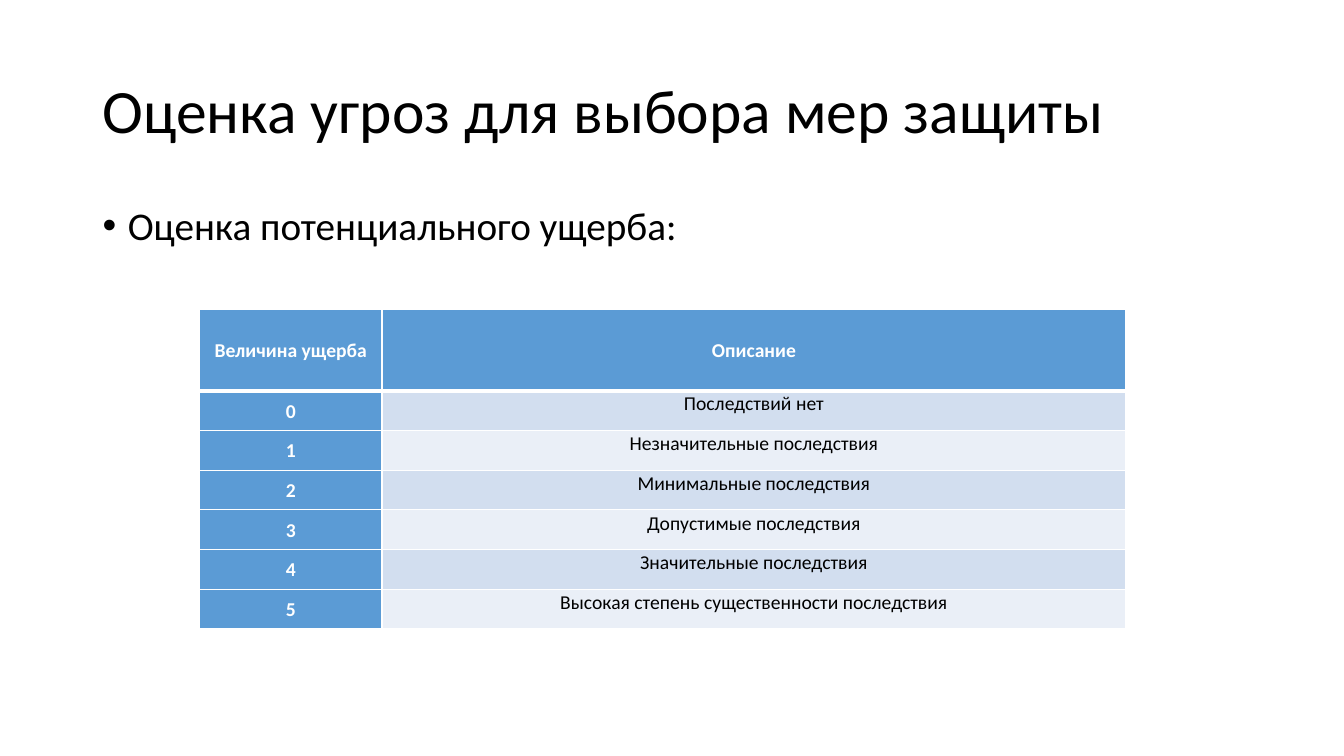
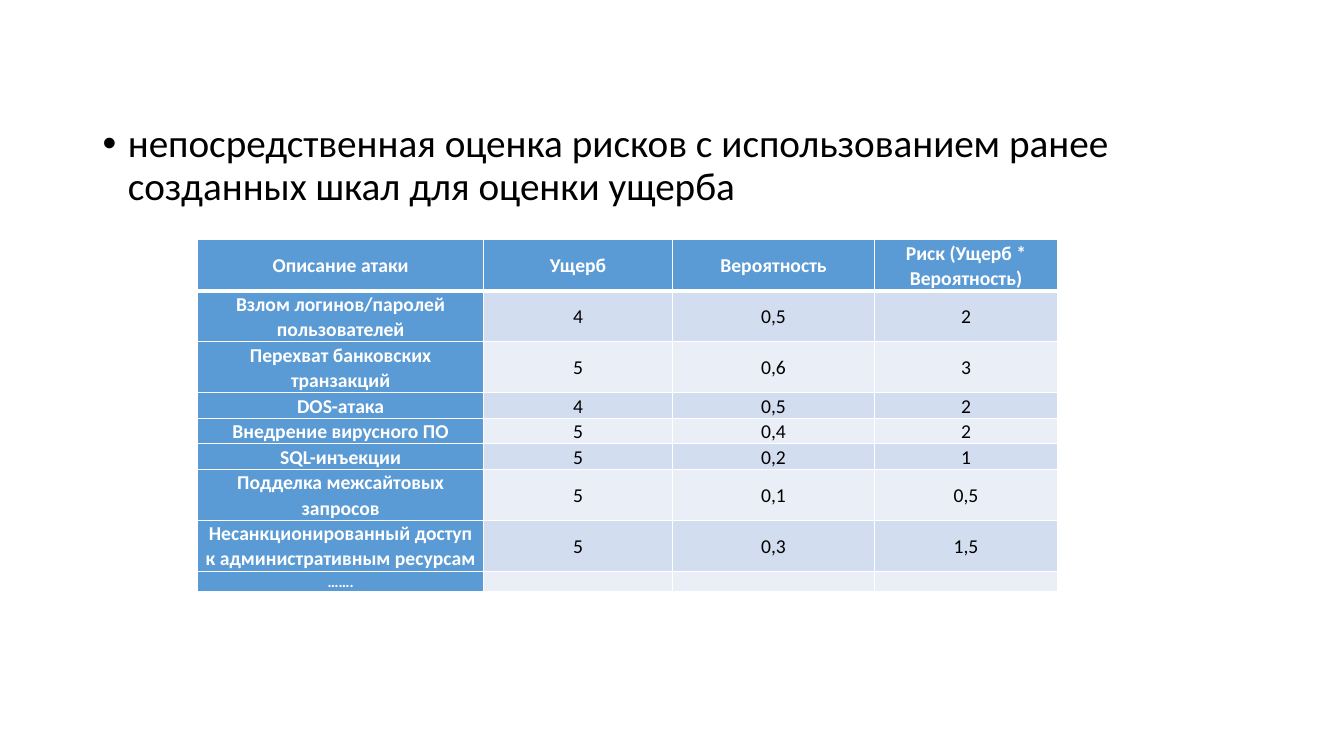
from lxml import etree
from pptx import Presentation
from pptx import util as u
from pptx.dml import color
from pptx.enum import text
from pptx.oxml import ns

HUES = {"ink": "000000", "paper": "FFFFFF", "head": "5B9BD5",
        "odd": "D2DEEF", "even": "EAEFF7"}
FONT = "Calibri"
LEFT, WIDE = 66.24, 828


class Deck:
    def __init__(self):
        self.prs = Presentation()
        self.prs.slide_width = u.Pt(960)
        self.prs.slide_height = u.Pt(540)
        self.slide = None

    def page(self):
        self.slide = self.prs.slides.add_slide(self.prs.slide_layouts[6])

    def style(self, para, size, hue="ink", bold=False):
        font = para.font
        font.name, font.size, font.bold = FONT, u.Pt(size), bold
        font.color.rgb = color.RGBColor.from_string(HUES[hue])

    def box(self, words, top, high, size, anchor):
        spot = [u.Pt(n) for n in (LEFT, top, WIDE, high)]
        frame = self.slide.shapes.add_textbox(*spot).text_frame
        frame.word_wrap = True
        frame.vertical_anchor = anchor
        para = frame.paragraphs[0]
        para.text = words
        para.line_spacing = 0.9
        self.style(para, size)
        return para

    def title(self, words):
        self.box(words, 28.8, 104.4, 44, text.MSO_ANCHOR.MIDDLE)

    def bullet(self, words, top):
        para = self.box(words, top, 486.72 - top, 28, text.MSO_ANCHOR.TOP)
        para.space_before = u.Pt(10)
        props = para._p.get_or_add_pPr()
        props.set("marL", str(u.Pt(18)))
        props.set("indent", str(-u.Pt(18)))
        face = etree.Element(ns.qn("a:buFont"), typeface="Arial")
        mark = etree.Element(ns.qn("a:buChar"), char="•")
        spot = props.index(props.find(ns.qn("a:defRPr")))
        props[spot:spot] = [face, mark]

    def edges(self, cell, row):
        props = cell._tc.get_or_add_tcPr()
        sizes = {"L": 1, "R": 1, "T": 3 if row == 1 else 1,
                 "B": 3 if row == 0 else 1}
        for spot, (side, size) in enumerate(sizes.items()):
            line = etree.Element(ns.qn("a:ln" + side), w=str(u.Pt(size)))
            fill = etree.SubElement(line, ns.qn("a:solidFill"))
            etree.SubElement(fill, ns.qn("a:srgbClr"), val=HUES["paper"])
            props.insert(spot, line)

    def cell(self, cell, words, row, col, size, anchor):
        head = row == 0 or col == 0
        band = "head" if head else "odd" if row % 2 else "even"
        cell.fill.solid()
        cell.fill.fore_color.rgb = color.RGBColor.from_string(HUES[band])
        self.edges(cell, row)
        cell.margin_left = cell.margin_right = u.Pt(5)
        cell.margin_top = cell.margin_bottom = 0
        cell.vertical_anchor = text.MSO_ANCHOR.MIDDLE if head else anchor
        para = cell.text_frame.paragraphs[0]
        if words:
            para.text = words
        para.alignment = text.PP_ALIGN.CENTER
        para.line_spacing = 1.07
        self.style(para, size, "paper" if head else "ink", head)

    def table(self, left, top, cols, highs, rows, anchor, last=14):
        spot = [u.Pt(n) for n in (left, top, sum(cols), sum(highs))]
        grid = self.slide.shapes.add_table(len(rows), len(cols), *spot).table
        grid.first_row = grid.horz_banding = False
        for col, wide in zip(grid.columns, cols):
            col.width = u.Pt(wide)
        for r, (high, row) in enumerate(zip(highs, rows)):
            grid.rows[r].height = u.Pt(high)
            size = last if r == len(rows) - 1 else 14
            for c, words in enumerate(row):
                self.cell(grid.cell(r, c), words, r, c, size, anchor)


deck = Deck()

deck.page()
deck.title("Оценка угроз для выбора мер защиты")
deck.bullet("Оценка потенциального ущерба:", 144)
levels = ["Последствий нет", "Незначительные последствия",
          "Минимальные последствия", "Допустимые последствия",
          "Значительные последствия",
          "Высокая степень существенности последствия"]
harm = [("Величина ущерба", "Описание")]
harm += [(str(n), level) for n, level in enumerate(levels)]
deck.table(142.56, 221.04, [130.32, 531.36], [58] + [28.4] * len(levels),
           harm, text.MSO_ANCHOR.TOP)

deck.page()
deck.bullet("непосредственная оценка рисков с использованием ранее "
            "созданных шкал для оценки ущерба", 84.96)
risks = [
    ("Описание атаки", "Ущерб", "Вероятность", "Риск (Ущерб * Вероятность)"),
    ("Взлом логинов/паролей пользователей", "4", "0,5", "2"),
    ("Перехват банковских транзакций", "5", "0,6", "3"),
    ("DOS-атака", "4", "0,5", "2"),
    ("Внедрение вирусного ПО", "5", "0,4", "2"),
    ("SQL-инъекции", "5", "0,2", "1"),
    ("Подделка межсайтовых запросов", "5", "0,1", "0,5"),
    ("Несанкционированный доступ к административным ресурсам",
     "5", "0,3", "1,5"),
    ("…….", "", "", "")]
one, two = 18.2, 36.4
deck.table(141.12, 171.36, [204.48, 134.64, 144.72, 130.32],
           [two] * 3 + [one] * 3 + [two] * 2 + [14.6],
           risks, text.MSO_ANCHOR.MIDDLE, last=11)

deck.prs.save("out.pptx")
